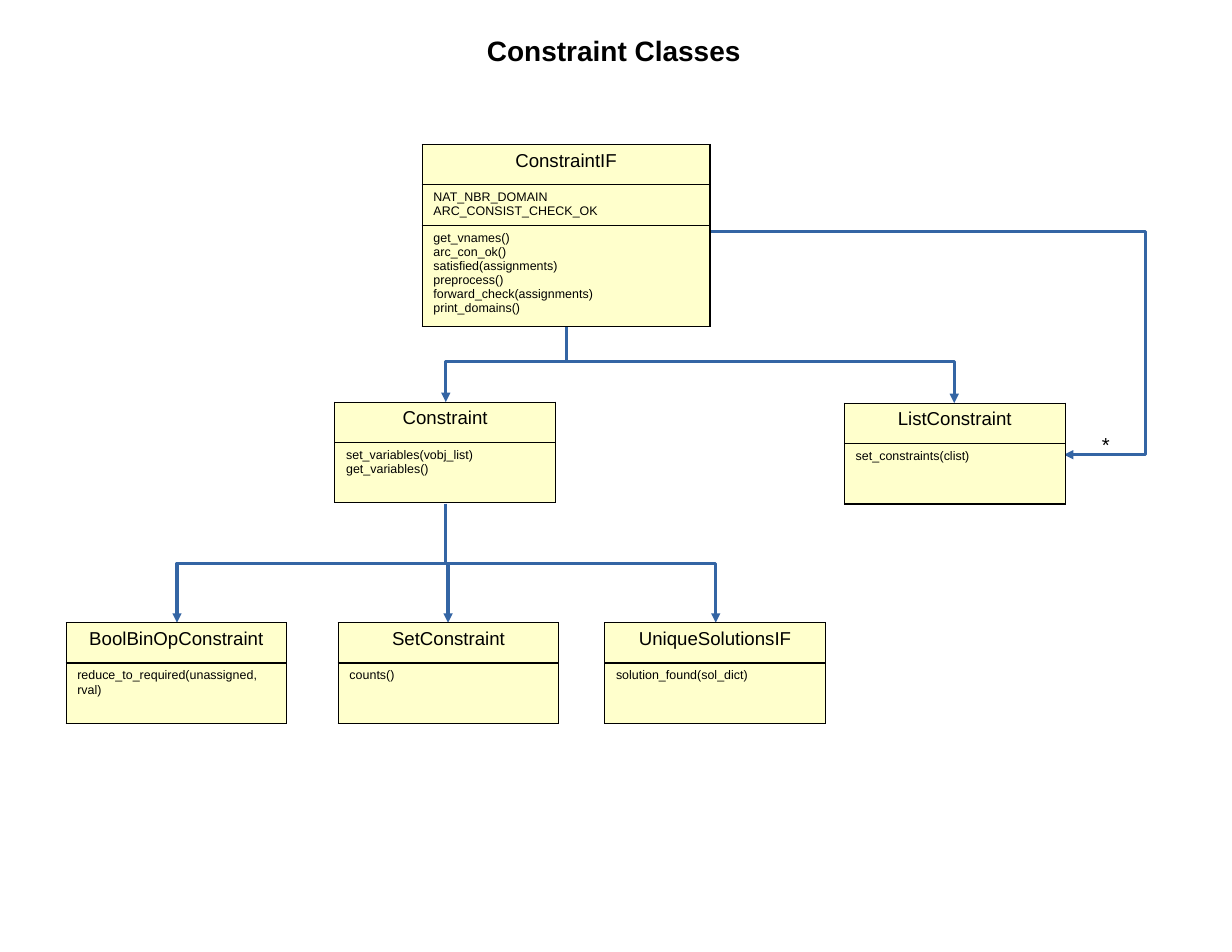
from dataclasses import dataclass

from lxml import etree
from pptx import Presentation
from pptx.dml.color import RGBColor
from pptx.enum.shapes import MSO_CONNECTOR
from pptx.enum.text import MSO_AUTO_SIZE, PP_ALIGN
from pptx.oxml import parse_xml
from pptx.oxml.ns import nsdecls, qn
from pptx.util import Inches, Pt

ELBOW = MSO_CONNECTOR.ELBOW
CENTER, LEFT = PP_ALIGN.CENTER, PP_ALIGN.LEFT
FIT_SHAPE = MSO_AUTO_SIZE.SHAPE_TO_FIT_TEXT


@dataclass(frozen=True)
class Theme:
    font: str = "Arial"
    ink: str = "000000"
    fill: str = "FFFFCC"
    link: str = "3465A4"
    title: int = 18
    mark: int = 13
    name: int = 12
    member: int = 8
    border: float = 0.85


THEME = Theme()

prs = Presentation()
prs.slide_width, prs.slide_height = Inches(11), Inches(8.5)
s = prs.slides.add_slide(prs.slide_layouts[6])


def write(tf, text, size, bold=False, align=LEFT):
    """Fill a text frame, one paragraph per line of text."""
    tf.text = text
    for p in tf.paragraphs:
        p.alignment = align
        font = p.runs[0].font
        for key, value in {"name": THEME.font, "size": Pt(size), "bold": bold}.items():
            setattr(font, key, value)
        font.color.rgb = RGBColor.from_string(THEME.ink)


def add_elbow(x1, y1, x2, y2, arrow):
    """Add a bent connector with an arrowhead at its headEnd or tailEnd."""
    cxn = s.shapes.add_connector(ELBOW, Inches(x1), Inches(y1), Inches(x2), Inches(y2))
    cxn.line.color.rgb = RGBColor.from_string(THEME.link)
    cxn.line.width = Pt(0)
    spPr = cxn.element.spPr
    etree.SubElement(spPr.find(qn("a:ln")), qn(f"a:{arrow}"), type="triangle")
    etree.SubElement(spPr, qn("a:effectLst"))
    return spPr


# Title and multiplicity mark
for text, x, y, w, h, size, bold in [
    ("Constraint Classes", 4.25, 0.25, 2.53, 0.38, THEME.title, True),
    ("*", 9.74, 3.81, 0.3, 0.3, THEME.mark, False),
]:
    sp = s.shapes.add_textbox(Inches(x), Inches(y), Inches(w), Inches(h))
    tf = sp.text_frame
    tf.word_wrap = False
    tf.auto_size = FIT_SHAPE
    write(tf, text, size, bold)

# Inheritance arrows: down, across at half height, down
base, parent = (5.06, 2.86), (3.98, 4.5)
for (x1, y1), (x2, y2) in [
    (base, (3.98, 3.59)),
    (base, (8.52, 3.6)),
    (parent, (1.58, 5.56)),
    (parent, (4, 5.56)),
    (parent, (6.39, 5.56)),
]:
    # A turned connector is placed by its unturned box around the same centre
    cx, cy = (x1 + x2) / 2, (y1 + y2) / 2
    side = 1 if x2 < x1 else -1
    dx, dy = side * (y2 - y1) / 2, abs(x2 - x1) / 2
    spPr = add_elbow(cx - dx, cy - dy, cx + dx, cy + dy, "tailEnd")
    spPr.find(qn("a:xfrm")).set("rot", str((90 if side == 1 else 270) * 60000))

# Association that loops round the right side
spPr = add_elbow(9.5, 4.06, 6.35, 2.07, "headEnd")
avLst = spPr.find(qn("a:prstGeom")).find(qn("a:avLst"))
etree.SubElement(avLst, qn("a:gd"), name="adj1", fmla="val -23200")

# Class boxes: left, top, width, height, row heights, texts
SMALL = (1.97, 0.9, (0.36, 0.54))
classes = [
    (0.59, 5.56, *SMALL, ("BoolBinOpConstraint", "reduce_to_required(unassigned, rval)")),
    (3.02, 5.56, *SMALL, ("SetConstraint", "counts()")),
    (5.4, 5.56, *SMALL, ("UniqueSolutionsIF", "solution_found(sol_dict)")),
    (7.54, 3.6, *SMALL, ("ListConstraint", "set_constraints(clist)")),
    (2.99, 3.59, *SMALL, ("Constraint", "set_variables(vobj_list)\nget_variables()")),
    (3.77, 1.29, 2.57, 1.57, (0.36, 0.27, 0.54), (
        "ConstraintIF",
        "NAT_NBR_DOMAIN\nARC_CONSIST_CHECK_OK",
        "get_vnames()\narc_con_ok()\nsatisfied(assignments)\npreprocess()\n"
        "forward_check(assignments)\nprint_domains()",
    )),
]
for x, y, w, h, heights, texts in classes:
    frame = s.shapes.add_table(len(texts), 1, Inches(x), Inches(y), Inches(w), Inches(h))
    table = frame.table
    table.first_row = table.horz_banding = False
    for i, (height, text) in enumerate(zip(heights, texts)):
        table.rows[i].height = Inches(height)
        cell = table.cell(i, 0)
        if i == 0:
            write(cell.text_frame, text, THEME.name, align=CENTER)
        else:
            write(cell.text_frame, text, THEME.member)
        tcPr = cell._tc.get_or_add_tcPr()
        for edge in ("lnL", "lnR", "lnT", "lnB"):
            tcPr.append(parse_xml(
                f'<a:{edge} {nsdecls("a")} w="{Pt(THEME.border)}"><a:solidFill>'
                f'<a:srgbClr val="{THEME.ink}"/></a:solidFill></a:{edge}>'))
        cell.fill.solid()
        cell.fill.fore_color.rgb = RGBColor.from_string(THEME.fill)
    frame.height = Inches(h)

prs.save("out.pptx")
